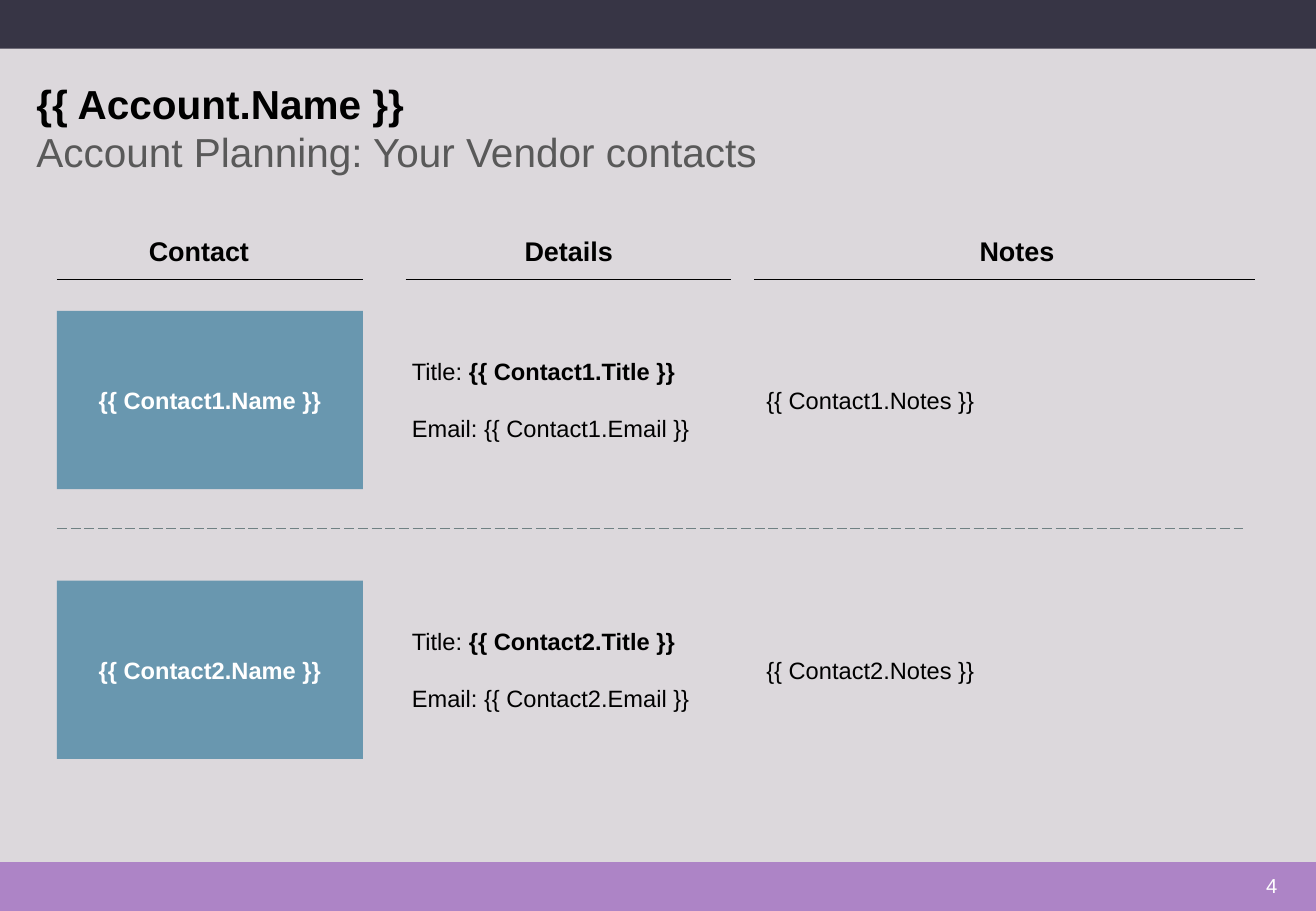
from dataclasses import dataclass

from lxml.etree import SubElement
from pptx import Presentation
from pptx.dml.color import RGBColor
from pptx.enum.dml import MSO_LINE_DASH_STYLE as Dash
from pptx.enum.shapes import MSO_CONNECTOR as Connector, MSO_SHAPE as Shape
from pptx.enum.text import MSO_ANCHOR as Anchor, PP_ALIGN as Align
from pptx.oxml.ns import qn
from pptx.util import Cm, Pt


@dataclass(frozen=True)
class Theme:
    font: str = "Arial"
    background: str = "DCD8DC"
    top_bar: str = "373545"
    bottom_bar: str = "AD84C6"
    card: str = "6997AF"
    divider: str = "6F8183"
    text: str = "000000"
    subtitle: str = "595959"
    light: str = "FFFFFF"
    title_size: int = 24
    heading_size: int = 16
    body_size: int = 14
    page_size: int = 12
    line_width: float = 0.75


WIDTH, HEIGHT = 27.51, 19.05
BAR_HEIGHT = 1.02
LEFT = 1.19
RULE_Y = 5.84
# Heading, rule start, rule end, left of heading box
COLUMNS = [
    ("Contact", LEFT, 7.59, 2.13),
    ("Details", 8.48, 15.29, 9.86),
    ("Notes", 15.77, 26.24, 19.23),
]
CARD_TOP, CARD_WIDTH, CARD_HEIGHT, CARD_PITCH = 6.5, 6.4, 3.73, 5.64
DETAILS_HEIGHT, NOTES_HEIGHT = 2.06, 0.86
INSETS = (0.25, 0.13)


class SlideBuilder:
    def __init__(self, slide, theme):
        self.slide, self.theme = slide, theme
        fill = slide.background.fill
        fill.solid()
        fill.fore_color.rgb = RGBColor.from_string(theme.background)

    def fill_text(self, shape, paragraphs, insets=INSETS, anchor=Anchor.TOP,
                  align=Align.LEFT, gap=0):
        """Fill a shape with paragraphs, each a list of (text, size, colour, bold)."""
        frame = shape.text_frame
        across, down = map(Cm, insets)
        layout = {"word_wrap": True, "vertical_anchor": anchor,
                  "margin_left": across, "margin_right": across,
                  "margin_top": down, "margin_bottom": down}
        for name, value in layout.items():
            setattr(frame, name, value)
        for index, spans in enumerate(paragraphs):
            para = frame.add_paragraph() if index else frame.paragraphs[0]
            para.alignment = align
            para.space_before = Pt(gap if index else 0)
            for text, size, color, bold in spans:
                span = para.add_run()
                span.text = text
                span.font.color.rgb = RGBColor.from_string(color)
                style = {"name": self.theme.font, "size": Pt(size), "bold": bold}
                for name, value in style.items():
                    setattr(span.font, name, value)

    def text(self, bounds, paragraphs, **layout):
        box = self.slide.shapes.add_textbox(*map(Cm, bounds))
        self.fill_text(box, paragraphs, **layout)

    def block(self, bounds, color):
        block = self.slide.shapes.add_shape(Shape.RECTANGLE, *map(Cm, bounds))
        block.shadow.inherit = False
        block.fill.solid()
        block.fill.fore_color.rgb = RGBColor.from_string(color)
        block.line.fill.background()
        return block

    def rule(self, start, end, y, color, dash=None):
        rule = self.slide.shapes.add_connector(
            Connector.STRAIGHT, Cm(start), Cm(y), Cm(end), Cm(y))
        rule.line.color.rgb = RGBColor.from_string(color)
        style = {"width": Pt(self.theme.line_width), "dash_style": dash}
        for name, value in style.items():
            setattr(rule.line, name, value)
        SubElement(rule._element.spPr, qn("a:effectLst"))

    def contact(self, number, top):
        """Draw one row: name card, details and notes, centred on the card."""
        theme = self.theme
        size = theme.body_size
        middle = top + CARD_HEIGHT / 2
        card = self.block((LEFT, top, CARD_WIDTH, CARD_HEIGHT), theme.card)
        self.fill_text(card, [[(f"{{{{ Contact{number}.Name }}}}", size, theme.light, True)]],
                       anchor=Anchor.MIDDLE, align=Align.CENTER)
        details = [
            [("Title: ", size, theme.text, False),
             (f"{{{{ Contact{number}.Title }}}}", size, theme.text, True)],
            [(f"Email: {{{{ Contact{number}.Email }}}}", size, theme.text, False)],
        ]
        self.text((8.36, middle - DETAILS_HEIGHT / 2, 6.81, DETAILS_HEIGHT),
                  details, anchor=Anchor.MIDDLE, gap=17)
        self.text((15.77, middle - NOTES_HEIGHT / 2, 10.44, NOTES_HEIGHT),
                  [[(f"{{{{ Contact{number}.Notes }}}}", size, theme.text, False)]],
                  anchor=Anchor.MIDDLE)


def main():
    theme = Theme()
    deck = Presentation()
    deck.slide_width, deck.slide_height = Cm(WIDTH), Cm(HEIGHT)
    page = SlideBuilder(deck.slides.add_slide(deck.slide_layouts[6]), theme)

    page.block((0, HEIGHT - BAR_HEIGHT, WIDTH, BAR_HEIGHT), theme.bottom_bar)
    page.block((0, 0, WIDTH, BAR_HEIGHT), theme.top_bar)
    page.text((0.76, 1.65, 25.93, 1.98), [
        [("{{ Account.Name }}", theme.title_size, theme.text, True)],
        [("Account Planning: Your Vendor contacts", theme.title_size, theme.subtitle, False)],
    ], insets=(0, 0))
    page.text((25.2, 18.26, 1.5, 0.51), [[("4", theme.page_size, theme.light, False)]],
              insets=(0, 0), align=Align.RIGHT)

    for heading, start, end, left in COLUMNS:
        page.rule(start, end, RULE_Y, theme.text)
        page.text((left, 4.78, 4.06, 0.94),
                  [[(heading, theme.heading_size, theme.text, True)]], align=Align.CENTER)

    page.rule(LEFT, 25.98, 11.05, theme.divider, Dash.LONG_DASH)
    for row in range(2):
        page.contact(row + 1, CARD_TOP + row * CARD_PITCH)

    deck.save("out.pptx")


if __name__ == "__main__":
    main()
